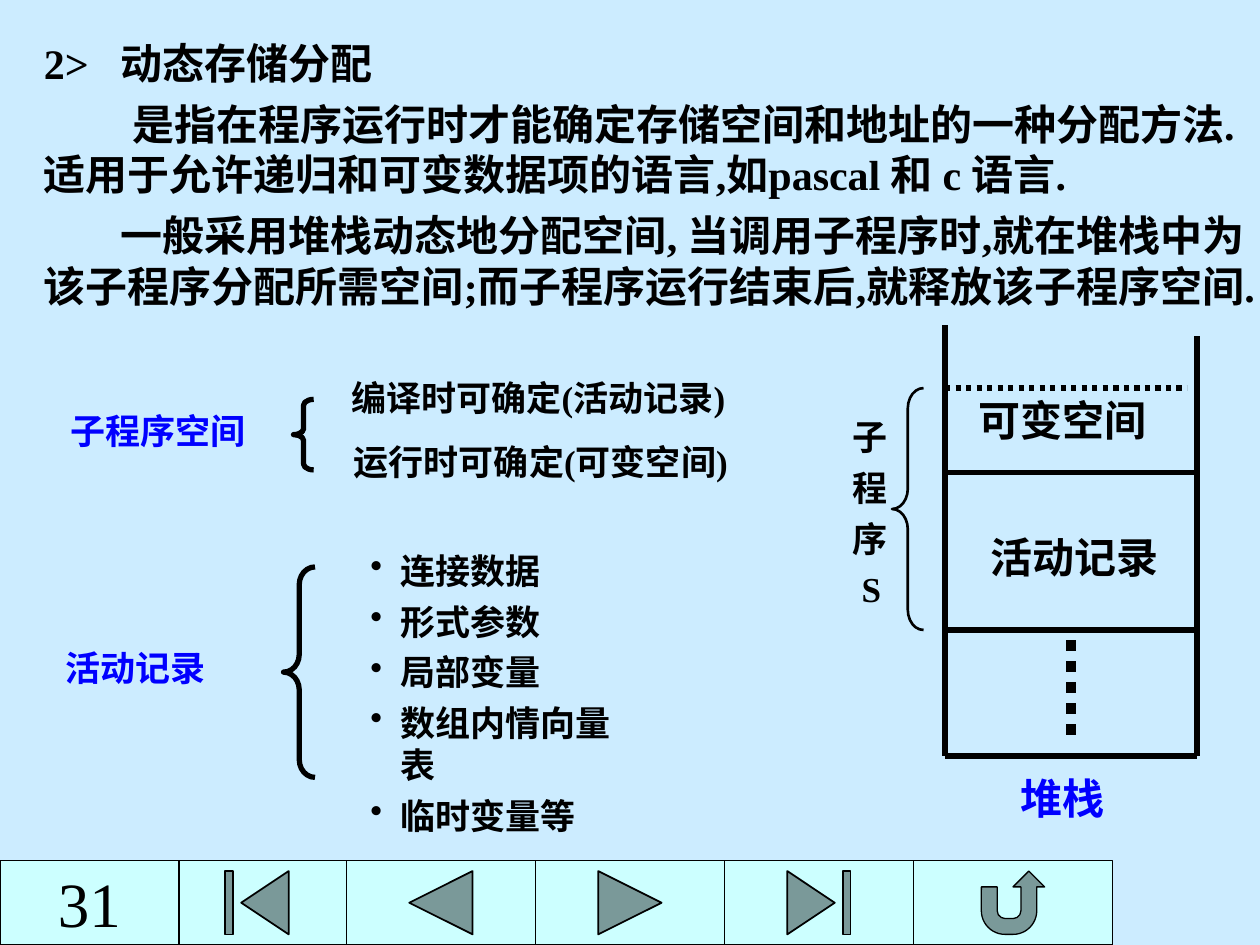
from dataclasses import dataclass
from itertools import pairwise

from lxml.etree import SubElement
from pptx import Presentation
from pptx.dml.color import RGBColor
from pptx.enum.dml import MSO_LINE
from pptx.enum.shapes import MSO_CONNECTOR, MSO_SHAPE
from pptx.enum.text import MSO_ANCHOR, MSO_AUTO_SIZE, PP_ALIGN
from pptx.oxml.ns import qn
from pptx.util import Inches, Pt


@dataclass(frozen=True)
class Theme:
    font: str = "Times New Roman"
    background: RGBColor = RGBColor(0xCC, 0xEC, 0xFF)
    button: RGBColor = RGBColor(0xCC, 0xFF, 0xFF)
    ink: RGBColor = RGBColor(0, 0, 0)
    accent: RGBColor = RGBColor(0, 0, 0xFF)
    body: int = 24
    label: int = 20
    number: int = 36


class SlideBuilder:
    def __init__(self, slide, theme):
        self.slide = slide
        self.theme = theme
        slide.background.fill.solid()
        slide.background.fill.fore_color.rgb = theme.background

    def style_font(self, paragraph, size, color, bold=True):
        font = paragraph.font
        font.name, font.size, font.bold = self.theme.font, Pt(size), bold
        font.color.rgb = color

    def text(self, left, top, width, height, lines, size, color=None, wrap=False,
             gap=0, indents=None, tab=None, bullet_indent=None):
        """Add a text box; indents holds the first-line indent of each line."""
        box = self.slide.shapes.add_textbox(
            Inches(left), Inches(top), Inches(width), Inches(height))
        frame = box.text_frame
        frame.word_wrap = wrap
        frame.auto_size = MSO_AUTO_SIZE.SHAPE_TO_FIT_TEXT
        for index, line in enumerate(lines):
            paragraph = frame.paragraphs[0] if index == 0 else frame.add_paragraph()
            paragraph.text = line
            if index:
                paragraph.space_before = Pt(gap)
            properties = paragraph._p.get_or_add_pPr()
            if indents and indents[index]:
                properties.set("indent", str(Inches(indents[index])))
            if bullet_indent:
                properties.set("marL", str(Inches(bullet_indent)))
                properties.set("indent", str(-Inches(bullet_indent)))
                SubElement(properties, qn("a:buChar"), char="•")
            if tab and "\t" in line:
                tabs = SubElement(properties, qn("a:tabLst"))
                SubElement(tabs, qn("a:tab"), pos=str(Inches(tab)), algn="l")
            self.style_font(paragraph, size, color or self.theme.ink)

    def line(self, start, end, weight=3, dash=None):
        connector = self.slide.shapes.add_connector(
            MSO_CONNECTOR.STRAIGHT, *map(Inches, (*start, *end)))
        connector.line.color.rgb = self.theme.ink
        connector.line.width = Pt(weight)
        if dash:
            connector.line.dash_style = dash
        SubElement(connector._element.spPr, qn("a:effectLst"))

    def shape(self, kind, left, top, width, height, weight, fill=None):
        shape = self.slide.shapes.add_shape(
            kind, Inches(left), Inches(top), Inches(width), Inches(height))
        shape.shadow.inherit = False
        if fill is None:
            shape.fill.background()
        else:
            shape.fill.solid()
            shape.fill.fore_color.rgb = fill
        shape.line.color.rgb = self.theme.ink
        shape.line.width = Pt(weight)
        return shape

    def brace(self, left, top, width, height, weight, curve):
        brace = self.shape(MSO_SHAPE.LEFT_BRACE, left, top, width, height, weight)
        brace.adjustments[0] = curve

    def page_number(self, left, top, width, height, number):
        shape = self.shape(MSO_SHAPE.RECTANGLE, left, top, width, height, 1,
                           self.theme.button)
        shape.text_frame.vertical_anchor = MSO_ANCHOR.MIDDLE
        paragraph = shape.text_frame.paragraphs[0]
        paragraph.text = number
        paragraph.alignment = PP_ALIGN.CENTER
        self.style_font(paragraph, self.theme.number, self.theme.ink, bold=False)


def add_navigation(builder):
    top, height = 6.83, 0.67
    edges = [1.33, 2.75, 4.25, 5.75, 7.25, 8.83]
    kinds = [MSO_SHAPE.ACTION_BUTTON_BEGINNING,
             MSO_SHAPE.ACTION_BUTTON_BACK_OR_PREVIOUS,
             MSO_SHAPE.ACTION_BUTTON_FORWARD_OR_NEXT,
             MSO_SHAPE.ACTION_BUTTON_END,
             MSO_SHAPE.ACTION_BUTTON_RETURN]
    for kind, (left, right) in zip(kinds, pairwise(edges)):
        weight = 0.75 if kind == MSO_SHAPE.ACTION_BUTTON_RETURN else 1
        builder.shape(kind, left, top, right - left, height, weight,
                      builder.theme.button)
    builder.page_number(0, top, 1.42, height, "31")


def add_explanation(builder):
    lines = [
        "2>\t动态存储分配",
        "是指在程序运行时才能确定存储空间和地址的一种分配方法.适用于允许递归和可变数据项的语言,如pascal 和 c 语言.",
        "一般采用堆栈动态地分配空间, 当调用子程序时,就在堆栈中为该子程序分配所需空间;而子程序运行结束后,就释放该子程序空间.",
    ]
    builder.text(0.25, 0.25, 9.75, 2.67, lines, builder.theme.body, wrap=True,
                 gap=6, indents=[0, 0.7, 0.61], tab=0.61)


def add_classifications(builder):
    theme = builder.theme
    builder.text(0.46, 3.2, 1.6, 0.44, ["子程序空间"], theme.label, theme.accent)
    builder.text(2.69, 2.94, 3.37, 0.44, ["编译时可确定(活动记录)"], theme.label)
    builder.text(2.71, 3.45, 3.37, 0.44, ["运行时可确定(可变空间)"], theme.label)
    builder.brace(2.33, 3.17, 0.16, 0.56, 3, 0.29)

    builder.text(0.42, 5.08, 1.32, 0.44, ["活动记录"], theme.label, theme.accent)
    records = ["连接数据", "形式参数", "局部变量", "数组内情向量表", "临时变量等"]
    builder.text(2.84, 4.31, 2.25, 2.05, records, theme.label, wrap=True,
                 gap=5, bullet_indent=0.24)
    builder.brace(2.25, 4.5, 0.25, 1.67, 3, 0.56)


def add_stack(builder):
    theme = builder.theme
    left, right, bottom = 7.5, 9.5, 6
    for x, top in ((left, 2.58), (right, 2.67)):
        builder.line((x, top), (x, bottom))
    for y in (3.75, 5, bottom):
        builder.line((left, y), (right, y))
    builder.line((8.5, 5.08), (8.5, 5.83), 6, MSO_LINE.ROUND_DOT)
    builder.line((left, 3.08), (9.42, 3.08), dash=MSO_LINE.ROUND_DOT)
    builder.text(7.76, 4.17, 1.54, 0.5, ["活动记录"], theme.body)
    builder.text(7.67, 3.08, 1.56, 0.5, ["可变空间"], theme.body, wrap=True)
    builder.text(8, 6.08, 0.87, 0.5, ["堆栈"], theme.body, theme.accent)
    builder.brace(7.08, 3.08, 0.25, 1.92, 1.5, 0.64)
    builder.text(6.67, 3.25, 0.58, 1.64, ["子", "程", "序", "S"], theme.label,
                 wrap=True, gap=5, indents=[0, 0, 0, 0.07])


def main():
    presentation = Presentation()
    presentation.slide_width = Inches(10)
    presentation.slide_height = Inches(7.5)
    slide = presentation.slides.add_slide(presentation.slide_layouts[6])
    builder = SlideBuilder(slide, Theme())
    add_navigation(builder)
    add_explanation(builder)
    add_classifications(builder)
    add_stack(builder)
    presentation.save("out.pptx")


if __name__ == "__main__":
    main()
